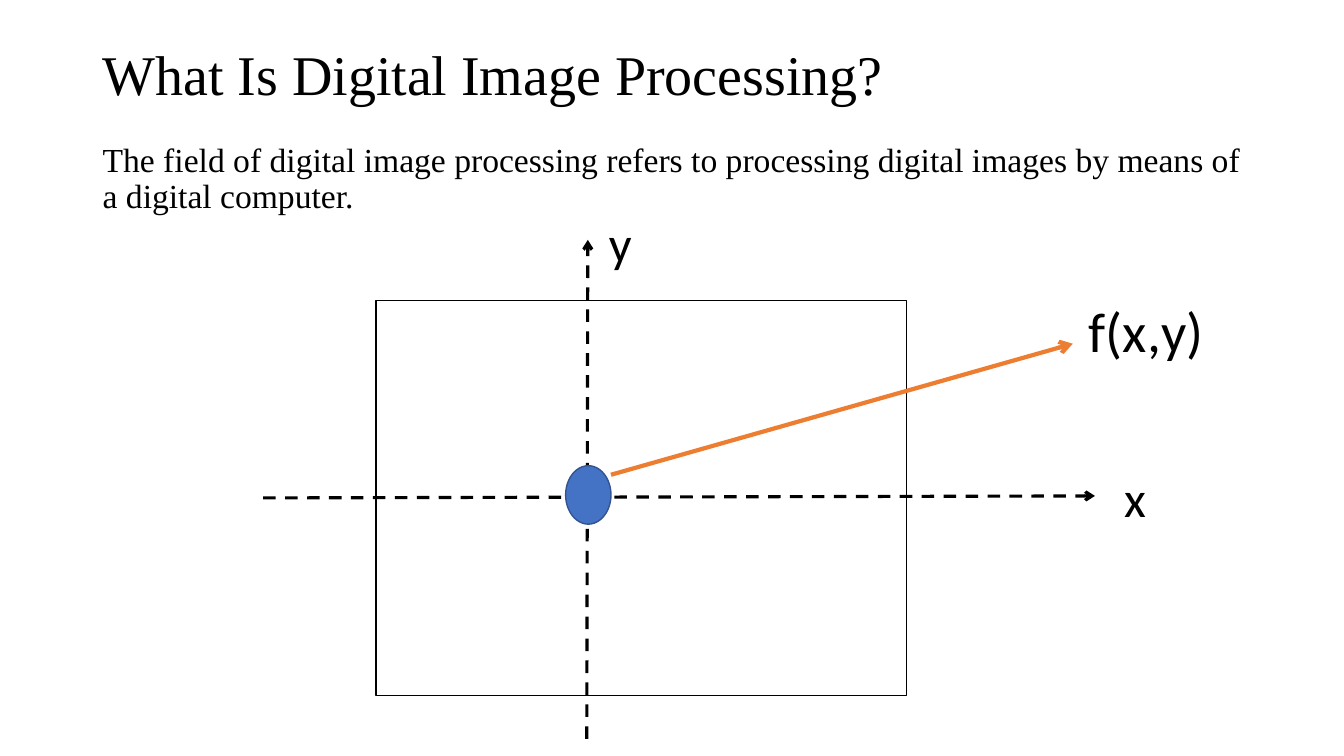
from lxml import etree
from pptx import Presentation
from pptx.dml.color import RGBColor
from pptx.enum.dml import MSO_LINE_DASH_STYLE as Dash
from pptx.enum.shapes import MSO_CONNECTOR as Connector, MSO_SHAPE as Shape
from pptx.enum.text import MSO_ANCHOR as Anchor, MSO_AUTO_SIZE as AutoSize
from pptx.oxml.ns import qn
from pptx.util import Inches, Pt

BLACK = "000000"
SERIF = "Times New Roman"
SANS = "Calibri"


def color(hex_code):
    return RGBColor.from_string(hex_code)


def apply_format(target, values):
    for name, value in values.items():
        setattr(target, name, value)


def add_text(slide, area, text, font, size, frame_format, line_spacing=None):
    box = slide.shapes.add_textbox(*map(Inches, area))
    frame = box.text_frame
    apply_format(frame, frame_format)
    para = frame.paragraphs[0]
    para.line_spacing = line_spacing
    span = para.add_run()
    span.text = text
    apply_format(span.font, {"name": font, "size": Pt(size)})
    span.font.color.rgb = color(BLACK)


def add_figure(slide, kind, area, fill, outline):
    figure = slide.shapes.add_shape(kind, *map(Inches, area))
    figure.shadow.inherit = False
    figure.fill.solid()
    figure.fill.fore_color.rgb = color(fill)
    figure.line.color.rgb = color(outline)
    figure.line.width = Pt(1)


def add_arrow(slide, start, end, hex_code, width, dash=None):
    arrow = slide.shapes.add_connector(
        Connector.STRAIGHT, *map(Inches, (*start, *end)))
    arrow.line.color.rgb = color(hex_code)
    apply_format(arrow.line, {"width": Pt(width), "dash_style": dash})
    properties = arrow.line._get_or_add_ln()
    etree.SubElement(properties, qn("a:tailEnd"), type="arrow")
    etree.SubElement(arrow._element.spPr, qn("a:effectLst"))


def main():
    deck = Presentation()
    deck.slide_width, deck.slide_height = Inches(13.33), Inches(7.5)
    page = deck.slides.add_slide(deck.slide_layouts[6])

    # Title and definition
    add_text(page, (0.92, 0.4, 11.5, 0.74), "What Is Digital Image Processing?",
             SERIF, 40, {"word_wrap": True, "vertical_anchor": Anchor.MIDDLE}, 0.9)
    add_text(page, (0.92, 1.37, 11.5, 5.39),
             "The field of digital image processing refers to processing "
             "digital images by means of a digital computer.",
             SERIF, 24, {"word_wrap": True, "vertical_anchor": Anchor.TOP}, 0.9)

    # Image frame with its axes
    add_figure(page, Shape.RECTANGLE, (3.73, 2.98, 5.26, 3.92), "FFFFFF", BLACK)
    for start, end in (((2.61, 4.94), (10.86, 4.92)), ((5.82, 7.33), (5.83, 2.38))):
        add_arrow(page, start, end, BLACK, 2.25, Dash.DASH)

    # Point and its value
    add_figure(page, Shape.OVAL, (5.61, 4.62, 0.45, 0.58), "4472C4", "325491")
    add_arrow(page, (6.06, 4.71), (10.64, 3.41), "ED7D31", 3)

    # Labels
    label_format = {"word_wrap": False, "auto_size": AutoSize.SHAPE_TO_FIT_TEXT}
    for text, size, area in (
        ("f(x,y)", 40, (10.7, 2.89, 1.35, 0.77)),
        ("x", 36, (11.05, 4.58, 0.42, 0.71)),
        ("y", 36, (5.94, 2.05, 0.43, 0.71)),
    ):
        add_text(page, area, text, SANS, size, label_format)

    deck.save("out.pptx")


if __name__ == "__main__":
    main()
